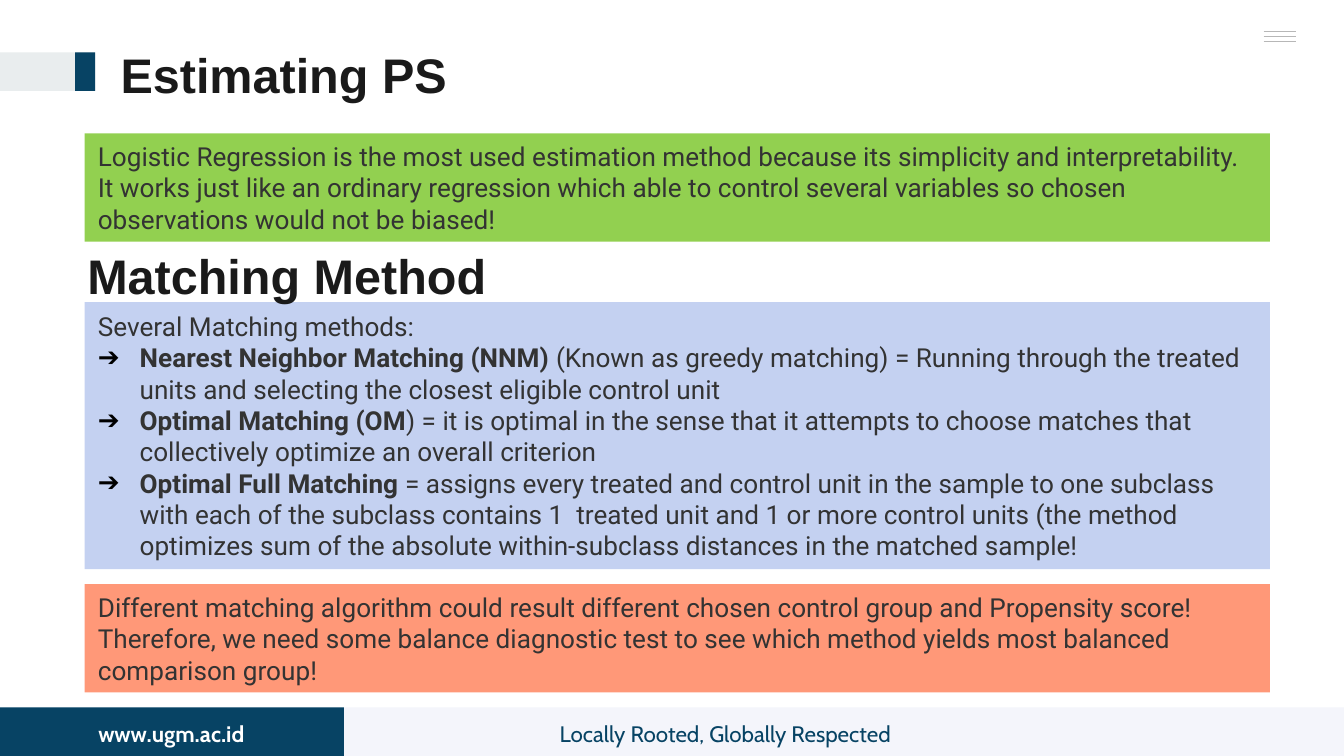
from lxml.etree import SubElement as Sub
from pptx import Presentation
from pptx.dml.color import RGBColor as Rgb
from pptx.enum.shapes import MSO_CONNECTOR as Conn, MSO_SHAPE as Kind
from pptx.enum.text import PP_ALIGN as Align
from pptx.oxml.ns import qn
from pptx.util import Cm, Pt

NAVY = Rgb(0x07, 0x43, 0x64)
WHITE = Rgb(0xFF, 0xFF, 0xFF)
MIST = Rgb(0xF4, 0xF5, 0xFB)
PALE = Rgb(0xE9, 0xED, 0xEE)
GREY = Rgb(0xB7, 0xB7, 0xB7)
INK = Rgb(0x1A, 0x1A, 0x1A)
TEXT = Rgb(0x33, 0x33, 0x33)
GREEN = Rgb(0x92, 0xD0, 0x50)
BLUE = Rgb(0xC4, 0xD1, 0xF1)
CORAL = Rgb(0xFF, 0x98, 0x78)

WIDE, HIGH = 25.4, 14.29
LEFT, SPAN = 1.6, 22.4  # shared column of the cards

# Each paragraph is a pair: bold lead, plain rest
LOGIT = [("", "Logistic Regression is the most used estimation method because its "
          "simplicity and interpretability. It works just like an ordinary regression "
          "which able to control several variables so chosen observations would not "
          "be biased!")]
MATCH = [
    ("", "Several Matching methods:"),
    ("Nearest Neighbor Matching (NNM) ",
     "(Known as greedy matching) = Running through the treated units and selecting "
     "the closest eligible control unit"),
    ("Optimal Matching (OM",
     ") = it is optimal in the sense that it attempts to choose matches that "
     "collectively optimize an overall criterion"),
    ("Optimal Full Matching ",
     "= assigns every treated and control unit in the sample to one subclass with "
     "each of the subclass contains 1  treated unit and 1 or more control units (the "
     "method optimizes sum of the absolute within-subclass distances in the matched "
     "sample!"),
]
CHECK = [("", "Different matching algorithm could result different chosen control group "
          "and Propensity score! Therefore, we need some balance diagnostic test to see "
          "which method yields most balanced comparison group!")]


def block(slide, x, y, w, h, color):
    """Plain filled rectangle."""
    box = slide.shapes.add_shape(Kind.RECTANGLE, Cm(x), Cm(y), Cm(w), Cm(h))
    box.shadow.inherit = False
    box.fill.solid()
    box.fill.fore_color.rgb = color
    box.line.fill.background()
    return box


def write(para, text, face, size, color, bold=False):
    run = para.add_run()
    run.text = text
    font = run.font
    font.name, font.size, font.bold = face, Pt(size), bold
    font.color.rgb = color


def label(slide, x, y, w, h, text, face, size, color, bold=False, align=Align.LEFT):
    """One-line text box with even margins."""
    frame = slide.shapes.add_textbox(Cm(x), Cm(y), Cm(w), Cm(h)).text_frame
    frame.word_wrap = True
    frame.margin_left = frame.margin_right = Cm(0.25)
    frame.margin_top = frame.margin_bottom = Cm(0.25)
    para = frame.paragraphs[0]
    para.alignment = align
    write(para, text, face, size, color, bold)


def arrow(para):
    """Hanging arrow bullet."""
    props = para._p.get_or_add_pPr()
    props.set("marL", str(Cm(0.79)))
    props.set("indent", str(-Cm(0.79)))
    tint = Sub(props, qn("a:buClr"))
    Sub(tint, qn("a:srgbClr"), val="000000")
    Sub(props, qn("a:buFont"), typeface="Arial")
    Sub(props, qn("a:buChar"), char="➔")


def card(slide, x, y, w, h, color, items):
    frame = block(slide, x, y, w, h, color).text_frame
    frame.word_wrap = True
    frame.margin_left = frame.margin_right = Cm(0.25)
    frame.margin_top = frame.margin_bottom = Cm(0.13)
    for i, (lead, rest) in enumerate(items):
        para = frame.add_paragraph() if i else frame.paragraphs[0]
        para.alignment = Align.LEFT
        if lead:
            arrow(para)
            write(para, lead, "Roboto", 14, TEXT, True)
        write(para, rest, "Roboto", 14, TEXT)


def footer(slide, x, y, w, h):
    block(slide, x, y, w, h, MIST)
    block(slide, x, y, 6.5, h, NAVY)
    label(slide, x + 1.32, y, 3.84, 0.96, "www.ugm.ac.id",
          "Cabin", 12, WHITE, True, Align.CENTER)
    label(slide, x + 8.92, y, 9.58, 0.96, "Locally Rooted, Globally Respected",
          "Cabin", 12, NAVY, align=Align.CENTER)


def menu(slide, x, y, w, gap):
    """Three thin lines in the corner."""
    for i in range(3):
        top = Cm(y + i * gap)
        line = slide.shapes.add_connector(Conn.STRAIGHT, Cm(x), top, Cm(x + w), top)
        line.line.color.rgb = GREY
        line.line.width = Pt(0.75)
        Sub(line._element.spPr, qn("a:effectLst"))


def header(slide, x, y, w, h):
    block(slide, x, y, w, h, PALE)
    block(slide, x + w - 0.38, y, 0.38, h, NAVY)
    label(slide, x + w + 0.23, y - 0.38, 21.36, 1.5, "Estimating PS",
          "Arial", 26, INK, True)


def main():
    deck = Presentation()
    deck.slide_width, deck.slide_height = Cm(WIDE), Cm(HIGH)
    slide = deck.slides.add_slide(deck.slide_layouts[6])

    # Frame of the page
    footer(slide, 0, 13.37, WIDE, HIGH - 13.37)
    menu(slide, 23.88, 0.6, 0.61, 0.09)
    header(slide, 0, 0.99, 1.8, 0.73)

    # Cards, with the second heading between them
    card(slide, LEFT, 5.71, SPAN, 5.05, BLUE, MATCH)
    card(slide, LEFT, 2.52, SPAN, 2.05, GREEN, LOGIT)
    label(slide, LEFT - 0.2, 4.4, 21.36, 1.5, "Matching Method",
          "Arial", 26, INK, True)
    card(slide, LEFT, 11.04, SPAN, 2.05, CORAL, CHECK)

    deck.save("out.pptx")


if __name__ == "__main__":
    main()
